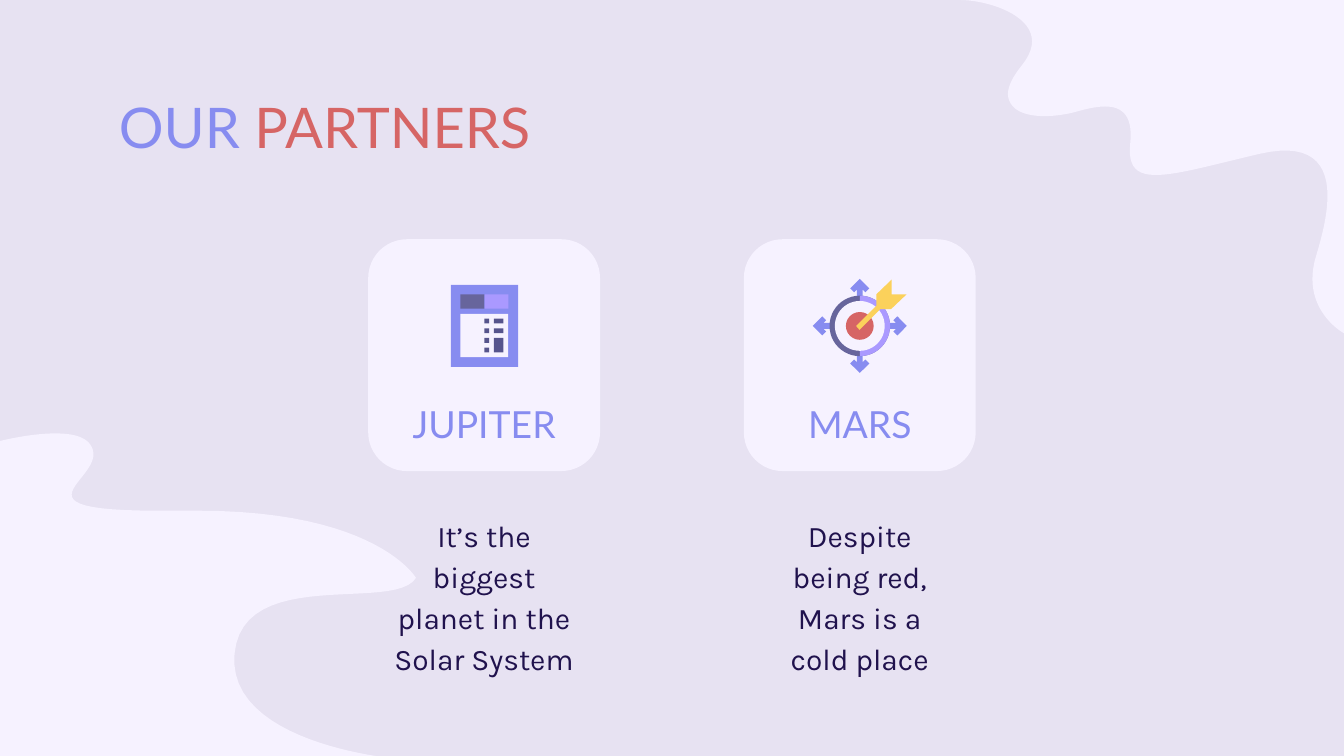
"""Build the partners slide with two icon cards on a wavy background."""
from math import cos, pi, sin

from pptx import Presentation
from pptx.dml.color import RGBColor
from pptx.enum.shapes import MSO_SHAPE
from pptx.enum.text import MSO_ANCHOR, PP_ALIGN
from pptx.util import Pt

LAVENDER = RGBColor(0xE7, 0xE2, 0xF2)
PALE = RGBColor(0xF6, 0xF2, 0xFF)
BLUE = RGBColor(0x87, 0x8C, 0xF0)
RED = RGBColor(0xD6, 0x65, 0x65)
NAVY = RGBColor(0x20, 0x12, 0x4D)
SLATE = RGBColor(0x67, 0x65, 0x9C)
INDIGO = RGBColor(0x56, 0x54, 0x8C)
VIOLET = RGBColor(0xAA, 0x99, 0xFF)
YELLOW = RGBColor(0xFB, 0xD1, 0x5B)

TITLE = [("OUR ", BLUE), ("PARTNERS", RED)]
PARTNERS = [
    ("JUPITER", "It’s the biggest planet in the Solar System"),
    ("MARS", "Despite being red, Mars is a cold place"),
]
CARD_LEFT, CARD_TOP, CARD_SIZE, CARD_PITCH = 394.5, 256.3, 248.4, 402.5

TOP_WAVE = [
    [(1410.5, 272.9)],
    [(1423.4, 229.7), (1445.8, 142.6), (1349.3, 164.9)],
    [(1251.4, 187.9), (1205.3, 205.9), (1211, 153.4)],
    [(1216.1, 103.7), (1179.4, 112.3), (1151.3, 120.2)],
    [(1129, 126), (1090.1, 128.9), (1081.4, 108)],
    [(1077.8, 99.4), (1080.7, 87.8), (1094.4, 70.6)],
    [(1133.3, 23), (1062.7, 0), (1028.2, 0)],
    [(1440, 0)],
    [(1440, 357.1)],
    [(1440, 357.1), (1391.8, 331.2), (1410.5, 272.9)],
]
BOTTOM_WAVE = [
    [(59, 464.4)],
    [(78.5, 464.4), (95, 468), (99.4, 481.7)],
    [(110.2, 514.1), (6.5, 547.2), (169.9, 547.2)],
    [(212.4, 547.2)],
    [(403.9, 547.2), (445.7, 619.2), (445.7, 619.2)],
    [(422.6, 656.6), (259.9, 605.5), (251.3, 700.6)],
    [(242.6, 795.6), (419, 812.2), (419, 812.2)],
    [(-5, 812.2)],
    [(-5, 473.8)],
    [(-5, 473.8), (29.5, 464.4), (59, 464.4)],
]

CALCULATOR = [
    (483.1, 305.3, 72, 87.8, BLUE),
    (493.2, 315.4, 25.9, 15.3, SLATE),
    (519.1, 315.4, 25.6, 15.3, VIOLET),
    (493.2, 336.4, 51.3, 46.4, PALE),
]
KEY_TOP, KEY_PITCH, KEY_HEIGHT = 341.4, 10.35, 5.2
SMALL_KEY = (519.1, 5.1)
WIDE_KEY = (529.2, 10.1)

TARGET_X, TARGET_Y = 921.2, 349.2
RING, INNER, BULLSEYE = 32.4, 26.7, 14.9
ARROW = [(0, -50.4), (-10.2, -40.3), (-6, -36), (-3.1, -38.9), (-3.1, -29.5),
         (3.1, -29.5), (3.1, -38.9), (6, -36), (10.2, -40.3)]
DART = [(955.4, 299.5), (938.9, 315.4), (938.9, 327.6), (917.3, 349.2), (920.9, 353.5),
        (943.2, 331.2), (954.7, 331.2), (971.3, 315.4), (955.4, 315.4)]


def paint(shape, color):
    shape.shadow.inherit = False
    shape.fill.solid()
    shape.fill.fore_color.rgb = color
    shape.line.fill.background()
    return shape


def add_preset(shapes, preset, left, top, width, height, color):
    return paint(shapes.add_shape(preset, Pt(left), Pt(top), Pt(width), Pt(height)), color)


def add_outline(shapes, points, color):
    start, *others = [(Pt(x), Pt(y)) for x, y in points]
    builder = shapes.build_freeform(*start, scale=1.0)
    builder.add_line_segments(others, close=True)
    return paint(builder.convert_to_shape(), color)


def flatten(segments, steps=24):
    points = []
    for segment in segments:
        if len(segment) == 1:
            points += segment
            continue
        corners = [points[-1], *segment]
        for step in range(1, steps + 1):
            t = step / steps
            weights = ((1 - t) ** 3, 3 * t * (1 - t) ** 2, 3 * t * t * (1 - t), t ** 3)
            points.append(tuple(sum(w * corner[axis] for w, corner in zip(weights, corners))
                                for axis in (0, 1)))
    return points


def add_disc(shapes, radius, color):
    add_preset(shapes, MSO_SHAPE.OVAL, TARGET_X - radius, TARGET_Y - radius,
               2 * radius, 2 * radius, color)


def add_calculator(shapes):
    for part in CALCULATOR:
        add_preset(shapes, MSO_SHAPE.RECTANGLE, *part)
    keys = [(SMALL_KEY, row, 1) for row in range(4)]
    keys += [(WIDE_KEY, 0, 1), (WIDE_KEY, 1, 1), (WIDE_KEY, 2, 2)]
    for (left, width), row, rows in keys:
        add_preset(shapes, MSO_SHAPE.RECTANGLE, left, KEY_TOP + row * KEY_PITCH, width,
                   KEY_HEIGHT + (rows - 1) * KEY_PITCH, INDIGO)


def add_target(shapes):
    for turn in range(4):
        c, s = cos(turn * pi / 2), sin(turn * pi / 2)
        add_outline(shapes, [(TARGET_X + x * c - y * s, TARGET_Y + x * s + y * c)
                             for x, y in ARROW], BLUE)
    add_disc(shapes, RING, SLATE)
    half_ring = [(TARGET_X + RING * sin(pi * i / 40), TARGET_Y - RING * cos(pi * i / 40))
                 for i in range(41)]
    add_outline(shapes, half_ring, VIOLET)
    add_disc(shapes, INNER, PALE)
    add_disc(shapes, BULLSEYE, RED)
    add_outline(shapes, DART, YELLOW)


def set_frame(shape, anchor):
    frame = shape.text_frame
    frame.word_wrap = True
    frame.vertical_anchor = anchor
    frame.margin_left = frame.margin_right = frame.margin_top = frame.margin_bottom = Pt(14.4)
    return frame


def style(font, name, size, color):
    font.name, font.size = name, Pt(size)
    font.color.rgb = color


def write_centred(shape, text, anchor, name, size, color):
    frame = set_frame(shape, anchor)
    frame.text = text
    paragraph = frame.paragraphs[0]
    paragraph.alignment = PP_ALIGN.CENTER
    style(paragraph.runs[0].font, name, size, color)
    return paragraph


def main():
    deck = Presentation()
    deck.slide_width, deck.slide_height = Pt(1440), Pt(810)
    slide = deck.slides.add_slide(deck.slide_layouts[6])
    slide.background.fill.solid()
    slide.background.fill.fore_color.rgb = LAVENDER
    shapes = slide.shapes

    for wave in (TOP_WAVE, BOTTOM_WAVE):
        add_outline(shapes, flatten(wave), PALE)

    title = shapes.add_textbox(Pt(113), Pt(85), Pt(1213.2), Pt(90))
    heading = set_frame(title, MSO_ANCHOR.TOP).paragraphs[0]
    for word, color in TITLE:
        run = heading.add_run()
        run.text = word
        style(run.font, "Lato", 60, color)

    for index, (partner, description) in enumerate(PARTNERS):
        left = CARD_LEFT + index * CARD_PITCH
        blurb = shapes.add_textbox(Pt(left + 10.1), Pt(534.2), Pt(228.2), Pt(144))
        paragraph = write_centred(blurb, description, MSO_ANCHOR.TOP, "Karla", 32, NAVY)
        paragraph.line_spacing = 1.15
        card = add_preset(shapes, MSO_SHAPE.ROUNDED_RECTANGLE, left, CARD_TOP,
                          CARD_SIZE, CARD_SIZE, PALE)
        card.adjustments[0] = 0.167
        write_centred(card, partner, MSO_ANCHOR.BOTTOM, "Lato", 40, BLUE)

    for add_icon in (add_target, add_calculator):
        add_icon(shapes.add_group_shape().shapes)

    deck.save("out.pptx")


if __name__ == "__main__":
    main()
